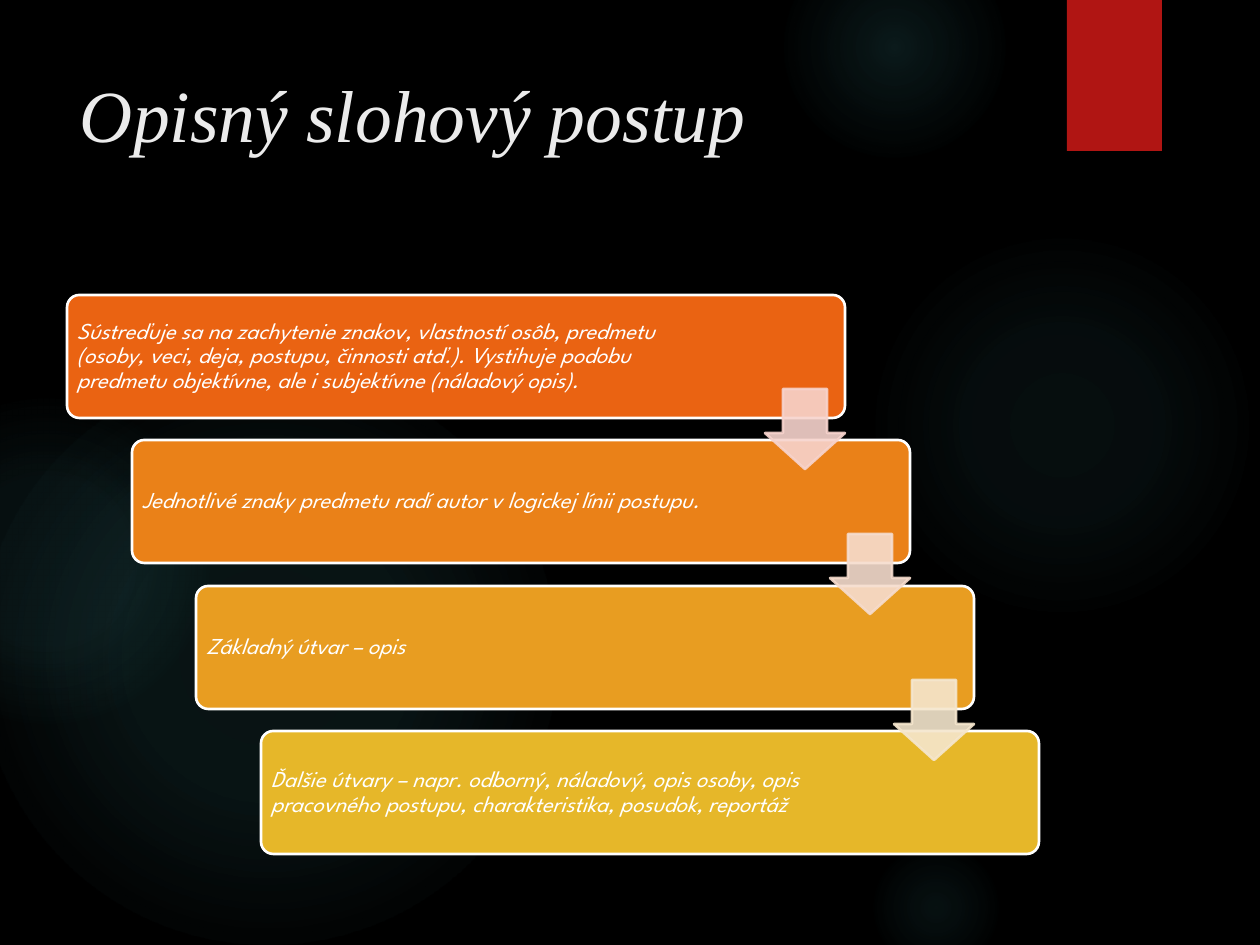
from dataclasses import dataclass

import pptx
import pptx.dml.color
import pptx.enum.shapes
import pptx.enum.text
import pptx.oxml
import pptx.oxml.ns
import pptx.util

EMU_PER_PX = 914400 / 126
SHAPES = pptx.enum.shapes.MSO_SHAPE
ANCHORS = pptx.enum.text.MSO_ANCHOR
GLOW_COLOR = "50B9C1"
WHITE = "FFFFFF"


@dataclass
class Box:
    left: int
    top: int
    width: int
    height: int

    def emu(self) -> list[int]:
        return [px(n) for n in (self.left, self.top, self.width, self.height)]


@dataclass
class Glow:
    left: int
    top: int
    size: int
    stops: list[tuple[int, int]]  # position and opacity, in percent


@dataclass
class Step:
    text: str
    fill: str
    text_width: int = 625
    arrow: str = ""


GLOWS = [
    Glow(868, 231, 388, [(0, 7), (36, 6), (69, 0)]),
    Glow(784, -63, 221, [(0, 14), (36, 7), (73, 0)]),
    Glow(868, 840, 136, [(0, 9), (36, 5), (66, 0)]),
    Glow(-21, 368, 577, [(0, 11), (36, 10), (75, 0)]),
    Glow(-116, 399, 325, [(0, 8), (36, 8), (72, 0)]),
]

STEPS = [
    Step("Sústreďuje sa na zachytenie znakov, vlastností osôb, predmetu "
         "(osoby, veci, deja, postupu, činnosti atď.). Vystihuje podobu "
         "predmetu objektívne, ale i subjektívne (náladový opis).",
         "EA6312", text_width=635, arrow="F7D3CC"),
    Step("Jednotlivé znaky predmetu radí autor v logickej línii postupu.",
         "EA8118", arrow="F6DCCD"),
    Step("Základný útvar – opis", "E89D21", arrow="F5E6CD"),
    Step("Ďalšie útvary – napr. odborný, náladový, opis osoby, opis "
         "pracovného postupu, charakteristika, posudok, reportáž", "E6B729"),
]


def px(length: int) -> int:
    return round(length * EMU_PER_PX)


def rgb(color: str) -> pptx.dml.color.RGBColor:
    return pptx.dml.color.RGBColor.from_string(color)


def add_shape(slide, kind, box: Box, fill: str = "", line: str = "", adjustments=()):
    shape = slide.shapes.add_shape(kind, *box.emu())
    shape.shadow.inherit = False
    for index, value in enumerate(adjustments):
        shape.adjustments[index] = value
    if fill:
        shape.fill.solid()
        shape.fill.fore_color.rgb = rgb(fill)
    else:
        shape.fill.background()
    if line:
        shape.line.color.rgb = rgb(line)
        shape.line.width = pptx.util.Pt(1.5)
    else:
        shape.line.fill.background()
    return shape


def add_text(slide, box: Box, text: str, *, font: str, size: int, color: str,
             anchor, margin_x: int = 6, margin_y: int = 6, line_spacing: float = 1.0) -> None:
    frame = slide.shapes.add_textbox(*box.emu()).text_frame
    frame.word_wrap = True
    frame.vertical_anchor = anchor
    frame.margin_left = frame.margin_right = px(margin_x)
    frame.margin_top = frame.margin_bottom = px(margin_y)
    paragraph = frame.paragraphs[0]
    paragraph.line_spacing = line_spacing
    run = paragraph.add_run()
    run.text = text
    run.font.name = font
    run.font.size = pptx.util.Pt(size)
    run.font.italic = True
    run.font.color.rgb = rgb(color)


def add_glow(slide, glow: Glow) -> None:
    shape = add_shape(slide, SHAPES.OVAL, Box(glow.left, glow.top, glow.size, glow.size))
    stops = "".join(
        f'<a:gs pos="{position * 1000}"><a:srgbClr val="{GLOW_COLOR}">'
        f'<a:alpha val="{opacity * 1000}"/></a:srgbClr></a:gs>'
        for position, opacity in glow.stops)
    gradient = pptx.oxml.parse_xml(
        f'<a:gradFill {pptx.oxml.ns.nsdecls("a")} rotWithShape="1"><a:gsLst>{stops}</a:gsLst>'
        '<a:path path="circle"><a:fillToRect l="50000" t="50000" r="50000" b="50000"/>'
        '</a:path></a:gradFill>')
    properties = shape._element.spPr
    properties.replace(properties.find(pptx.oxml.ns.qn("a:noFill")), gradient)


def add_arrow(slide, box: Box, color: str) -> None:
    shape = add_shape(slide, SHAPES.DOWN_ARROW, box, color, color, (0.55, 0.45))
    for color_element in shape._element.spPr.iter(pptx.oxml.ns.qn("a:srgbClr")):
        color_element.append(pptx.oxml.parse_xml(
            f'<a:alpha {pptx.oxml.ns.nsdecls("a")} val="90000"/>'))


def step_box(index: int) -> Box:
    return Box(67 + round(64.7 * index), 295 + round(145.3 * index), 778, 123)


def main() -> None:
    presentation = pptx.Presentation()
    presentation.slide_width, presentation.slide_height = px(1260), px(945)
    slide = presentation.slides.add_slide(presentation.slide_layouts[6])

    # Background with soft glows and the red tab
    slide.background.fill.solid()
    slide.background.fill.fore_color.rgb = rgb("000000")
    for glow in GLOWS:
        add_glow(slide, glow)
    add_shape(slide, SHAPES.RECTANGLE, Box(1067, 0, 95, 151), "B01513")

    # Title
    add_text(slide, Box(67, 63, 971, 193), "Opisný slohový postup",
             font="Times New Roman", size=42, color="EBEBEB",
             anchor=ANCHORS.TOP, margin_x=13)

    # Staircase of steps
    for index, step in enumerate(STEPS):
        box = step_box(index)
        add_shape(slide, SHAPES.ROUNDED_RECTANGLE, box, step.fill, WHITE, (0.1,))
        add_text(slide, Box(box.left + 4, box.top + 4, step.text_width, box.height - 8),
                 step.text, font="League Spartan", size=13, color=WHITE,
                 anchor=ANCHORS.MIDDLE, line_spacing=0.9)

    # Arrows from each step to the next
    for index, step in enumerate(STEPS):
        if step.arrow:
            box = step_box(index)
            add_arrow(slide, Box(box.left + 698, box.top + 94, 80, 80), step.arrow)

    presentation.save("out.pptx")


if __name__ == "__main__":
    main()
